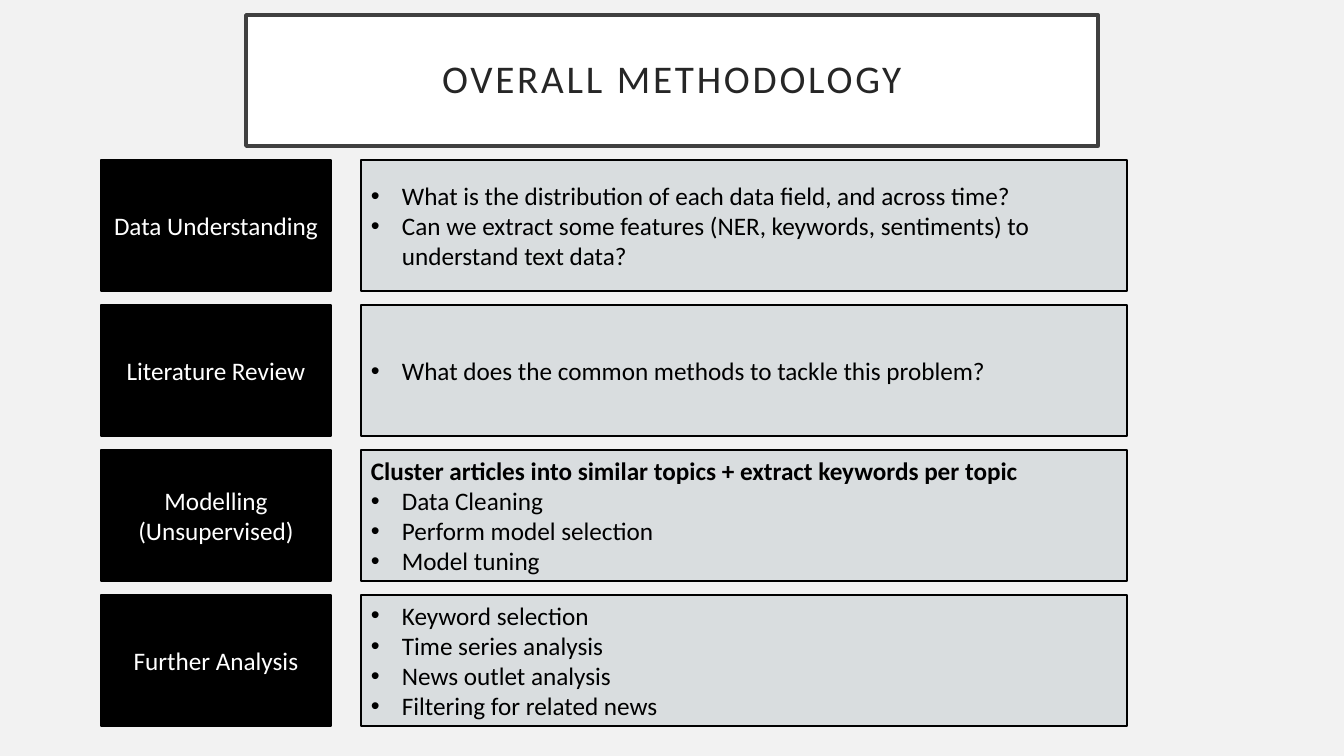
from pptx import Presentation
from pptx.dml.color import RGBColor
from pptx.enum.shapes import MSO_SHAPE as Shape
from pptx.enum.text import MSO_ANCHOR as Anchor, PP_ALIGN as Align
from pptx.oxml.ns import qn
from pptx.util import Pt
from lxml import etree

SCALE = 914400 / 100.8  # EMU per pixel
FONT = "Calibri"
PAPER = RGBColor(0xF2, 0xF2, 0xF2)
WHITE = RGBColor(0xFF, 0xFF, 0xFF)
BLACK = RGBColor(0, 0, 0)
FRAME = RGBColor(0x40, 0x40, 0x40)
HEADING = RGBColor(0x26, 0x26, 0x26)
PANEL = RGBColor(0xD9, 0xDD, 0xDF)

BULLET_INDENT = 31
STAGE_HEIGHT, STAGE_PITCH = 131, 145
LABEL_WIDTH, PANEL_OFFSET = 230, 260

# Each stage: label, bold lead line (or None), bullet points
STAGES = [
    ("Data Understanding", None, [
        "What is the distribution of each data field, and across time?",
        "Can we extract some features (NER, keywords, sentiments) to understand text data?"]),
    ("Literature Review", None, [
        "What does the common methods to tackle this problem?"]),
    ("Modelling (Unsupervised)",
     "Cluster articles into similar topics + extract keywords per topic",
     ["Data Cleaning", "Perform model selection", "Model tuning"]),
    ("Further Analysis", None, [
        "Keyword selection", "Time series analysis",
        "News outlet analysis", "Filtering for related news"]),
]


def px(length):
    return round(length * SCALE)


def add_box(page, box, fill, line, line_width):
    shape = page.shapes.add_shape(Shape.RECTANGLE, *map(px, box))
    shape.shadow.inherit = False
    shape.fill.solid()
    shape.fill.fore_color.rgb = fill
    shape.line.color.rgb = line
    shape.line.width = Pt(line_width)
    frame = shape.text_frame
    frame.word_wrap = True
    frame.vertical_anchor = Anchor.MIDDLE
    return frame


def write(para, text, size, color, align=Align.CENTER, bold=False):
    para.text = text
    para.alignment = align
    para.font.name = FONT
    para.font.size = Pt(size)
    para.font.bold = bold
    para.font.color.rgb = color


def add_bullet(para):
    props = para._p.get_or_add_pPr()
    props.set("marL", str(px(BULLET_INDENT)))
    props.set("indent", str(-px(BULLET_INDENT)))
    etree.SubElement(props, qn("a:buFont")).set("typeface", "Arial")
    etree.SubElement(props, qn("a:buChar")).set("char", "•")


def add_title(page, box, text):
    frame = add_box(page, box, WHITE, FRAME, 2.5)
    frame.margin_left = frame.margin_right = px(20)
    frame.margin_top = frame.margin_bottom = px(20)
    para = frame.paragraphs[0]
    para.line_spacing = 0.9
    write(para, text, 28, HEADING)
    para.runs[0].font._element.set("spc", "200")  # letter spacing of 2 pt


def add_stage(page, box, label, lead, points):
    left, top, width, height = box

    # Label
    frame = add_box(page, (left, top, LABEL_WIDTH, height), BLACK, BLACK, 1)
    write(frame.paragraphs[0], label, 18, WHITE)

    # Detail panel
    panel = (left + PANEL_OFFSET, top, width - PANEL_OFFSET, height)
    frame = add_box(page, panel, PANEL, BLACK, 1)
    lines = ([lead] if lead else []) + points
    for index, text in enumerate(lines):
        para = frame.add_paragraph() if index else frame.paragraphs[0]
        is_lead = text == lead
        if not is_lead:
            add_bullet(para)
        write(para, text, 18, BLACK, Align.LEFT, is_lead)


def add_methodology(page, box):
    left, top, width = box
    for index, stage in enumerate(STAGES):
        add_stage(page, (left, top + index * STAGE_PITCH, width, STAGE_HEIGHT), *stage)


deck = Presentation()
deck.slide_width, deck.slide_height = px(1344), px(756)
page = deck.slides.add_slide(deck.slide_layouts[6])
page.background.fill.solid()
page.background.fill.fore_color.rgb = PAPER
add_title(page, (246, 15, 852, 131), "OVERALL METHODOLOGY")
add_methodology(page, (101, 160, 1026))
deck.save("out.pptx")
